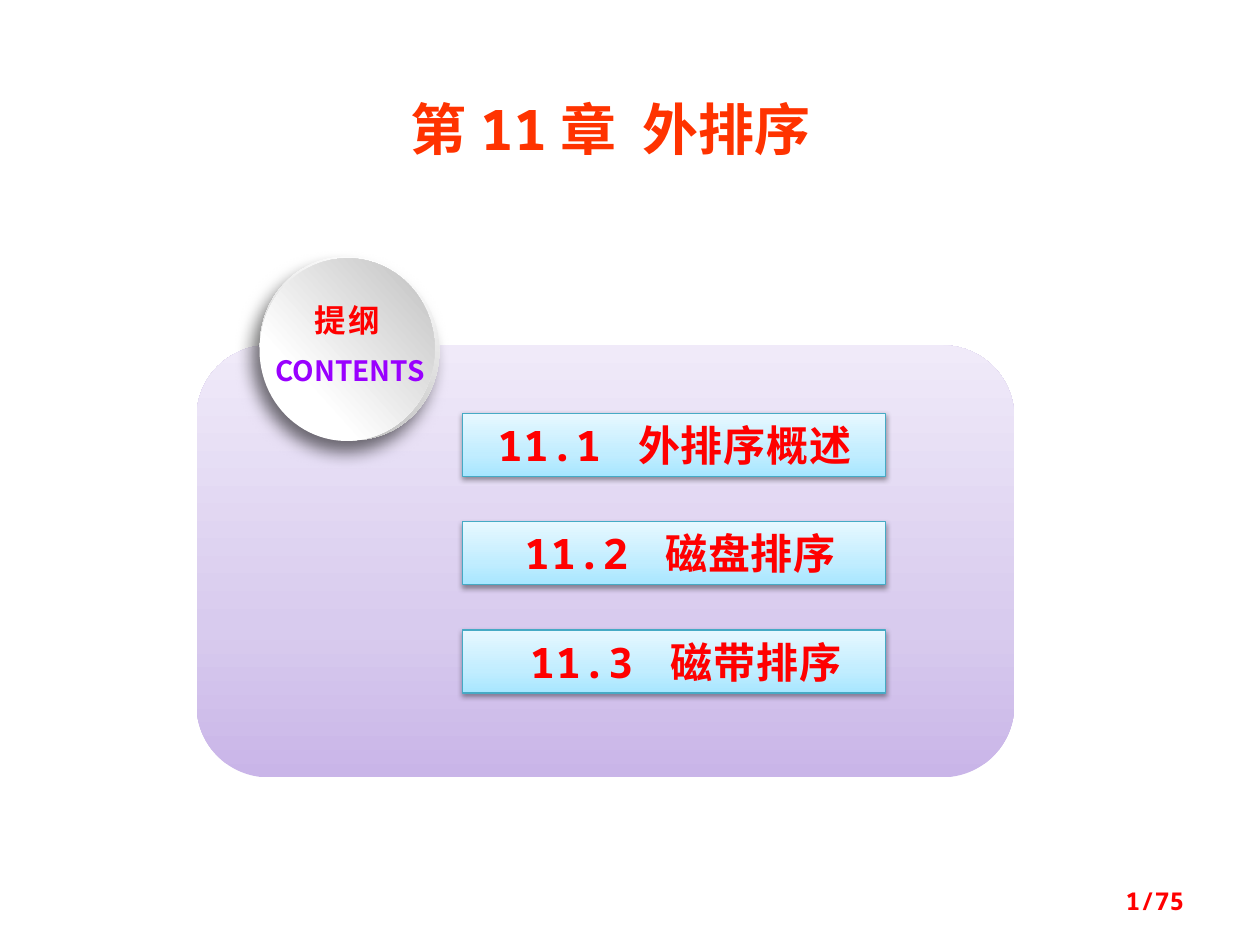
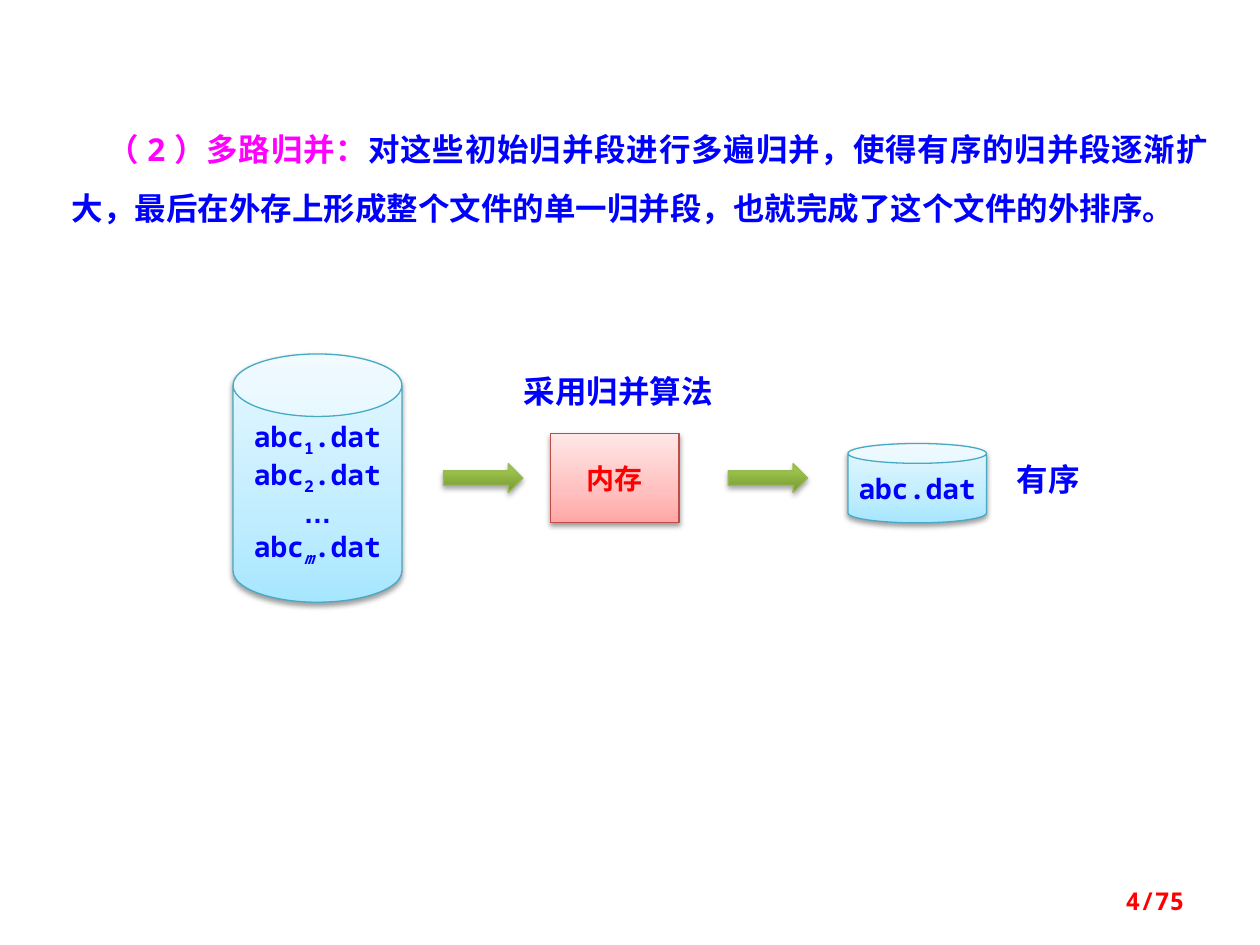
from lxml.etree import SubElement
from pptx import Presentation
from pptx.dml.color import RGBColor
from pptx.enum.shapes import MSO_SHAPE
from pptx.enum.text import MSO_ANCHOR, MSO_AUTO_SIZE, PP_ALIGN
from pptx.oxml.ns import qn
from pptx.util import Inches, Pt

# Shared look
COLORS = {"title": "FF3300", "red": "FF0000", "blue": "0000FF",
          "violet": "9900FF", "magenta": "FF00FF", "white": "FFFFFF"}
MONO, CJK = "Noto Sans Mono", "Noto Sans CJK SC"
LEFT, CENTER, RIGHT, JUSTIFY = PP_ALIGN.LEFT, PP_ALIGN.CENTER, PP_ALIGN.RIGHT, PP_ALIGN.JUSTIFY
TOP, MIDDLE = MSO_ANCHOR.TOP, MSO_ANCHOR.MIDDLE
INSETS = (0.1, 0.05, 0.1, 0.05)
PAGE_COUNT = 75

# Fills: gradient stops, angle, line colour and shadow (opacity, blur, distance, direction)
SOFT_SHADOW = (38, 3.1, 1.6, 90)
STYLES = {
    "panel": dict(stops=[(0, "C9B5E8"), (35, "D8CBEE"), (100, "F0EAF9")]),
    "cyan": dict(stops=[(0, "A7E6FF"), (35, "C1EDFF"), (100, "E7F8FF")],
                 line="46AAC5", shadow=SOFT_SHADOW),
    "pink": dict(stops=[(0, "FFA6A5"), (35, "FFC0BF"), (100, "FFE7E7")],
                 line="BF4C48", shadow=SOFT_SHADOW),
    "green": dict(stops=[(0, "779737"), (80, "9BC348"), (100, "9DC746")],
                  line="98B955", shadow=(35, 3.1, 1.8, 90)),
    "disc rim": dict(stops=[(17, "FFFFFF"), (88, "B8B8B8")], angle=45,
                     shadow=(55, 10, 8, 123)),
    "disc face": dict(stops=[(29, "FFFFFF"), (98, "BFBFBF")], angle=45),
}

# Content of the outline slide; the space in the title is widened by its spacing
CHAPTER = ["第11章", (" ", dict(spacing=7.2)), "外排序"]
SECTIONS = [  # text, alignment, right inset
    ("11.1 外排序概述", LEFT, 0.1), ("11.2 磁盘排序", CENTER, 0.18),
    ("11.3 磁带排序", CENTER, 0.1)]
SECTION_LEFT, SECTION_TOP, SECTION_STEP = 3.67, 3.28, 0.86
BADGE = [("提纲", (2.36, 2.34, 0.8, 0.4), dict(size=18, color="red", spacing=1.5)),
         ("CONTENTS", (1.97, 2.76, 1.62, 0.37), dict(size=16, color="violet"))]
DISCS = [("disc rim", (2.04, 2.06, 1.47, 1.41), 62.3),
         ("disc face", (2.03, 2.08, 1.45, 1.39), 273)]

# Content of the merging slide
MERGE_STEP = [("（2）多路归并：", dict(color="magenta")),
              "对这些初始归并段进行多遍归并，使得有序的归并段逐渐扩大，"
              "最后在外存上形成整个文件的单一归并段，也就完成了这个文件的外排序。"]


def run_file(index, **style):
    return ["abc", (index, dict(baseline=-25, **style)), ".dat"]


RUN_FILES = [run_file("1"), run_file("2"), [("…", dict(font="Arial"))],
             run_file("m", italic=True)]
FLOW = [  # shape, style, box, text, text colour, adjustment
    (MSO_SHAPE.RECTANGLE, "pink", (4.37, 3.44, 1.02, 0.71), ["内存"], "red", None),
    (MSO_SHAPE.CAN, "cyan", (1.85, 2.81, 1.34, 1.97), RUN_FILES, "blue", 0.37),
    (MSO_SHAPE.CAN, "cyan", (6.73, 3.52, 1.1, 0.63), ["abc.dat"], "blue", 0.25),
]
ARROW_LEFTS = (3.52, 5.78)
FLOW_LABELS = [("有序", (7.97, 3.6, 0.94, 0.4), CJK),
               ("采用归并算法", (4.06, 2.9, 1.81, 0.4), MONO)]


def place(shape, box):
    """Move a placeholder and give it a white ground."""
    shape.left, shape.top, shape.width, shape.height = map(Inches, box)
    shape.fill.solid()
    shape.fill.fore_color.rgb = RGBColor.from_string(COLORS["white"])


def format_run(run, font=MONO, size=18, color="blue", bold=True, italic=False,
               spacing=0, baseline=0):
    run.font.name, run.font.size = font, Pt(size)
    run.font.bold, run.font.italic = bold, italic
    run.font.color.rgb = RGBColor.from_string(COLORS[color])
    properties = run.font._element
    SubElement(properties, qn("a:ea")).set("typeface", CJK)
    if spacing:
        properties.set("spc", str(round(spacing * 100)))
    if baseline:
        properties.set("baseline", str(baseline * 1000))


def write_text(shape, paragraphs, align=LEFT, anchor=TOP, insets=INSETS, wrap=True,
               line_spacing=None, indent=None, **style):
    """Each paragraph is a string or a list of runs; a run is a string or (text, style)."""
    frame = shape.text_frame
    frame.auto_size, frame.word_wrap, frame.vertical_anchor = MSO_AUTO_SIZE.NONE, wrap, anchor
    (frame.margin_left, frame.margin_top,
     frame.margin_right, frame.margin_bottom) = map(Inches, insets)
    for number, runs in enumerate(paragraphs):
        paragraph = frame.add_paragraph() if number else frame.paragraphs[0]
        if indent is not None:
            properties = paragraph._p.get_or_add_pPr()
            properties.set("marL", "0")
            properties.set("indent", str(Inches(indent)))
            SubElement(properties, qn("a:buNone"))
        paragraph.alignment = align
        paragraph.space_before = Pt(0)
        if line_spacing:
            paragraph.line_spacing = Pt(line_spacing)
        for part in [runs] if isinstance(runs, str) else runs:
            text, own_style = (part, {}) if isinstance(part, str) else part
            run = paragraph.add_run()
            run.text = text
            format_run(run, **{**style, **own_style})


def add_label(slide, text, box, **style):
    label = slide.shapes.add_textbox(*map(Inches, box))
    write_text(label, [text], **style)


def add_color(parent, color):
    element = SubElement(parent, qn("a:srgbClr"))
    element.set("val", color)
    return element


def add_styled_shape(slide, kind, box, stops, angle=270, line=None, shadow=None):
    shape = slide.shapes.add_shape(kind, *map(Inches, box))
    # Gradient
    shape.fill.gradient()
    gradient = shape._element.spPr.find(qn("a:gradFill"))
    for child in list(gradient):
        gradient.remove(child)
    gradient.set("rotWithShape", "1")
    stop_list = SubElement(gradient, qn("a:gsLst"))
    for position, color in stops:
        stop = SubElement(stop_list, qn("a:gs"))
        stop.set("pos", str(position * 1000))
        add_color(stop, color)
    SubElement(gradient, qn("a:lin")).set("ang", str(angle * 60000))
    # Outline
    if line:
        shape.line.color.rgb = RGBColor.from_string(line)
        shape.line.width = Pt(0.75)
    else:
        shape.line.fill.background()
    # Shadow
    shape.shadow.inherit = False
    if shadow:
        opacity, blur, distance, direction = shadow
        outer = SubElement(shape._element.spPr.find(qn("a:effectLst")), qn("a:outerShdw"))
        for name, value in (("blurRad", Pt(blur)), ("dist", Pt(distance)),
                            ("dir", direction * 60000), ("rotWithShape", 0)):
            outer.set(name, str(value))
        alpha = SubElement(add_color(outer, "000000"), qn("a:alpha"))
        alpha.set("val", str(opacity * 1000))
    return shape


def add_page_number(slide, number):
    add_label(slide, f"{number}/{PAGE_COUNT}", (7.17, 6.95, 2.33, 0.4), align=RIGHT,
              anchor=MIDDLE, size=14, color="red")


def build_outline(presentation):
    slide = presentation.slides.add_slide(presentation.slide_layouts[5])
    title = slide.shapes.title
    place(title, (2.97, 0.7, 3.75, 0.64))
    title.line.color.rgb = RGBColor.from_string(COLORS["white"])
    title.line.width = Pt(2)
    write_text(title, [CHAPTER], align=CENTER, anchor=MIDDLE, size=32, color="title")

    # Panel with the section bars
    add_styled_shape(slide, MSO_SHAPE.ROUNDED_RECTANGLE, (1.56, 2.74, 6.49, 3.43),
                     **STYLES["panel"])
    for row, (section, align, right_inset) in enumerate(SECTIONS):
        box = (SECTION_LEFT, SECTION_TOP + row * SECTION_STEP, 3.36, 0.5)
        bar = add_styled_shape(slide, MSO_SHAPE.RECTANGLE, box, **STYLES["cyan"])
        write_text(bar, [section], align=align, anchor=MIDDLE, size=24, color="red",
                   spacing=0.5, insets=(0.28, 0.05, right_inset, 0.05))

    # Round badge
    for style, box, rotation in DISCS:
        disc = add_styled_shape(slide, MSO_SHAPE.OVAL, box, **STYLES[style])
        disc.rotation = rotation
    for text, box, style in BADGE:
        add_label(slide, text, box, align=CENTER, font=CJK, **style)
    add_page_number(slide, 1)


def build_merging(presentation):
    slide = presentation.slides.add_slide(presentation.slide_layouts[1])
    title, body = slide.placeholders
    title._element.getparent().remove(title._element)
    place(body, (0.47, 0.78, 9.22, 1.15))
    write_text(body, [MERGE_STEP], align=JUSTIFY, line_spacing=34, indent=0.28,
               insets=(0.1, 0.08, 0.1, 0.12))

    # Files, memory and the arrows between them
    for kind, style, box, text, color, adjustment in FLOW:
        shape = add_styled_shape(slide, kind, box, **STYLES[style])
        if adjustment:
            shape.adjustments[0] = adjustment
        write_text(shape, text, align=CENTER, anchor=MIDDLE, wrap=False, size=16, color=color)
    for left in ARROW_LEFTS:
        add_styled_shape(slide, MSO_SHAPE.RIGHT_ARROW, (left, 3.68, 0.63, 0.23),
                         **STYLES["green"])
    for text, box, font in FLOW_LABELS:
        add_label(slide, text, box, font=font)
    add_page_number(slide, 4)


def main():
    presentation = Presentation()
    presentation.slide_width, presentation.slide_height = Inches(10), Inches(7.5)
    build_outline(presentation)
    build_merging(presentation)
    presentation.save("out.pptx")


if __name__ == "__main__":
    main()
